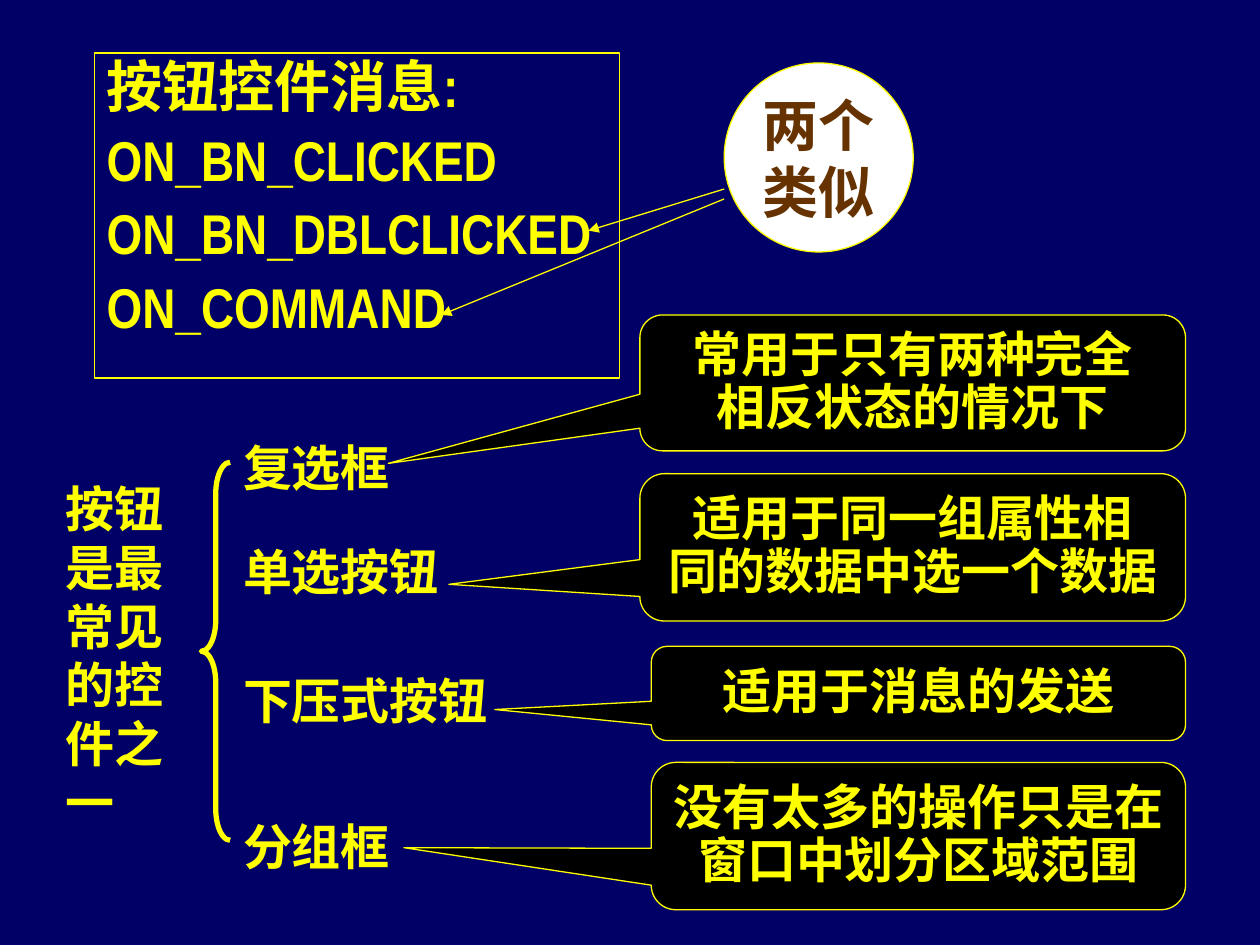
"""Build the slide on button control messages and button types."""
from pptx import Presentation
from pptx.dml.color import RGBColor
from pptx.enum.shapes import MSO_CONNECTOR, MSO_SHAPE
from pptx.enum.text import MSO_ANCHOR, PP_ALIGN
from pptx.util import Cm, Pt
from lxml.etree import SubElement
from pptx.oxml.ns import qn
from dataclasses import dataclass


@dataclass(frozen=True)
class Theme:
    back: str = "000066"
    main: str = "FFFF00"
    dark: str = "000000"
    disc: str = "FFFFFF"
    brown: str = "663300"
    big: int = 32
    mid: int = 28
    thin: float = 0.75
    thick: float = 3
    sans: str = "Arial"
    slim: str = "Arial Narrow"
    han: str = "Noto Sans CJK SC"


LOOK = Theme()

MESSAGES = ["按钮控件消息:", "ON_BN_CLICKED", "ON_BN_DBLCLICKED", "ON_COMMAND"]
SIMILAR = ["两个", "类似"]
INTRO = ["按钮是最常见的控件之一"]
ARROWS = [((14.6, 3.81), (11.86, 4.65)), ((14.6, 4.01), (8.89, 6.35))]
KINDS = [
    dict(name="复选框", top=8.69, wide=3.91, note=["常用于只有两种完全", "相反状态的情况下"],
         box=(12.9, 6.35, 2.74), tip=(-0.961, 0.592)),
    dict(name="单选按钮", top=10.8, wide=4.88, note=["适用于同一组属性相", "同的数据中选一个数据"],
         box=(12.9, 9.55, 2.97), tip=(-0.85, 0.251)),
    dict(name="下压式按钮", top=13.39, wide=5.72, note=["适用于消息的发送"],
         box=(13.13, 13.03, 1.9), tip=(-0.793, 0.171)),
    dict(name="分组框", top=16.33, wide=3.91, note=["没有太多的操作只是在", "窗口中划分区域范围"],
         box=(13.13, 15.37, 2.97), tip=(-0.963, 0.079)),
]
LEFT, RIGHT, HIGH = 4.65, 23.9, 1.45
HANG = Cm(0.95)


def tint(code):
    return RGBColor.from_string(code)


def write(frame, lines, size=LOOK.mid, font=LOOK.sans, color=LOOK.main,
          align=PP_ALIGN.LEFT, pitch=None, gap=None):
    for rank, line in enumerate(lines):
        para = frame.paragraphs[0] if rank == 0 else frame.add_paragraph()
        para.alignment = align
        if pitch:
            para.line_spacing = pitch
        if gap:
            para.space_before = gap
        run = para.add_run()
        run.text = line
        run.font.size = Pt(size)
        run.font.bold = True
        run.font.color.rgb = tint(color)
        run.font.name = font


def shape(home, kind, area, fill=None, width=LOOK.thin, adjust=()):
    item = home.add_shape(kind, *map(Cm, area))
    item.shadow.inherit = False
    if fill:
        item.fill.solid()
        item.fill.fore_color.rgb = tint(fill)
    else:
        item.fill.background()
    item.line.color.rgb = tint(LOOK.main)
    item.line.width = Pt(width)
    for rank, value in enumerate(adjust):
        item.adjustments[rank] = value
    return item


def label(home, area, lines):
    frame = home.add_textbox(*map(Cm, area)).text_frame
    frame.word_wrap = True
    write(frame, lines)


def center(item):
    frame = item.text_frame
    frame.word_wrap = False
    frame.vertical_anchor = MSO_ANCHOR.MIDDLE
    return frame


def arrow(home, start, end):
    item = home.add_connector(MSO_CONNECTOR.STRAIGHT, *map(Cm, start + end))
    item.line.color.rgb = tint(LOOK.main)
    item.line.width = Pt(LOOK.thin)
    SubElement(item.line._get_or_add_ln(), qn("a:tailEnd"), type="triangle")
    SubElement(item._element.spPr, qn("a:effectLst"))


def panel(home):
    frame = shape(home, MSO_SHAPE.RECTANGLE, (1.9, 1.07, 10.59, 6.55)).text_frame
    frame.word_wrap = True
    frame.vertical_anchor = MSO_ANCHOR.TOP
    write(frame, MESSAGES, LOOK.big, LOOK.slim, pitch=0.9, gap=Pt(7.5))
    for para in frame.paragraphs:
        props = para._p.get_or_add_pPr()
        props.set("marL", str(HANG))
        props.set("indent", str(-HANG))


def pair(home, kind):
    group = home.add_group_shape().shapes
    label(group, (LEFT, kind["top"], kind["wide"], HIGH), [kind["name"]])
    left, top, high = kind["box"]
    note = shape(group, MSO_SHAPE.ROUNDED_RECTANGULAR_CALLOUT,
                 (left, top, RIGHT - left, high), LOOK.dark,
                 adjust=kind["tip"] + (0.167,))
    write(center(note), kind["note"], align=PP_ALIGN.CENTER, pitch=0.9)


def main():
    deck = Presentation()
    deck.slide_width, deck.slide_height = Cm(25.4), Cm(19.05)
    slide = deck.slides.add_slide(deck.slide_layouts[6])
    slide.background.fill.solid()
    slide.background.fill.fore_color.rgb = tint(LOOK.back)
    home = slide.shapes
    panel(home)
    disc = shape(home, MSO_SHAPE.OVAL, (14.6, 1.27, 3.81, 3.81), LOOK.disc)
    write(center(disc), SIMILAR, LOOK.big, LOOK.han, LOOK.brown, PP_ALIGN.CENTER)
    for start, end in ARROWS:
        arrow(home, start, end)
    label(home, (1.07, 9.52, 2.74, 7.37), INTRO)
    shape(home, MSO_SHAPE.LEFT_BRACE, (4.06, 9.32, 0.58, 7.62),
          width=LOOK.thick, adjust=(1.091, 0.5))
    for kind in KINDS:
        pair(home, kind)
    deck.save("out.pptx")


if __name__ == "__main__":
    main()
